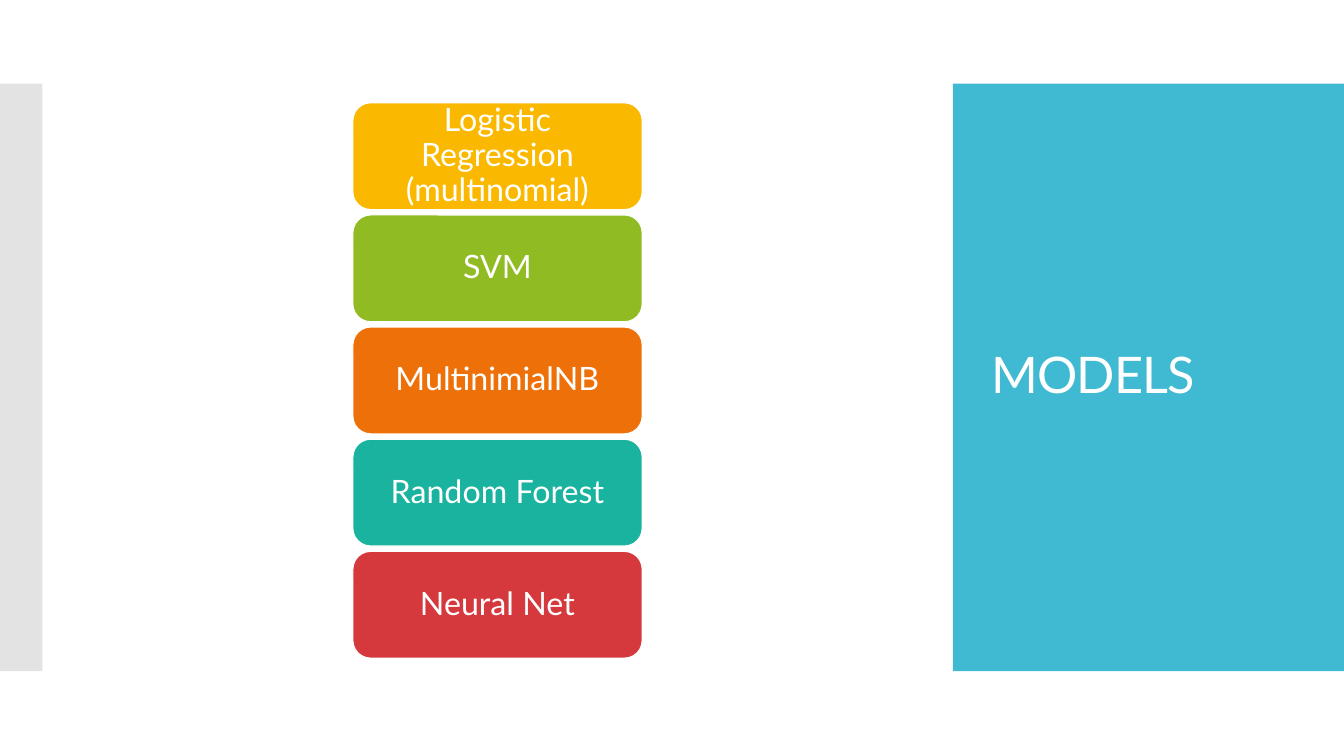
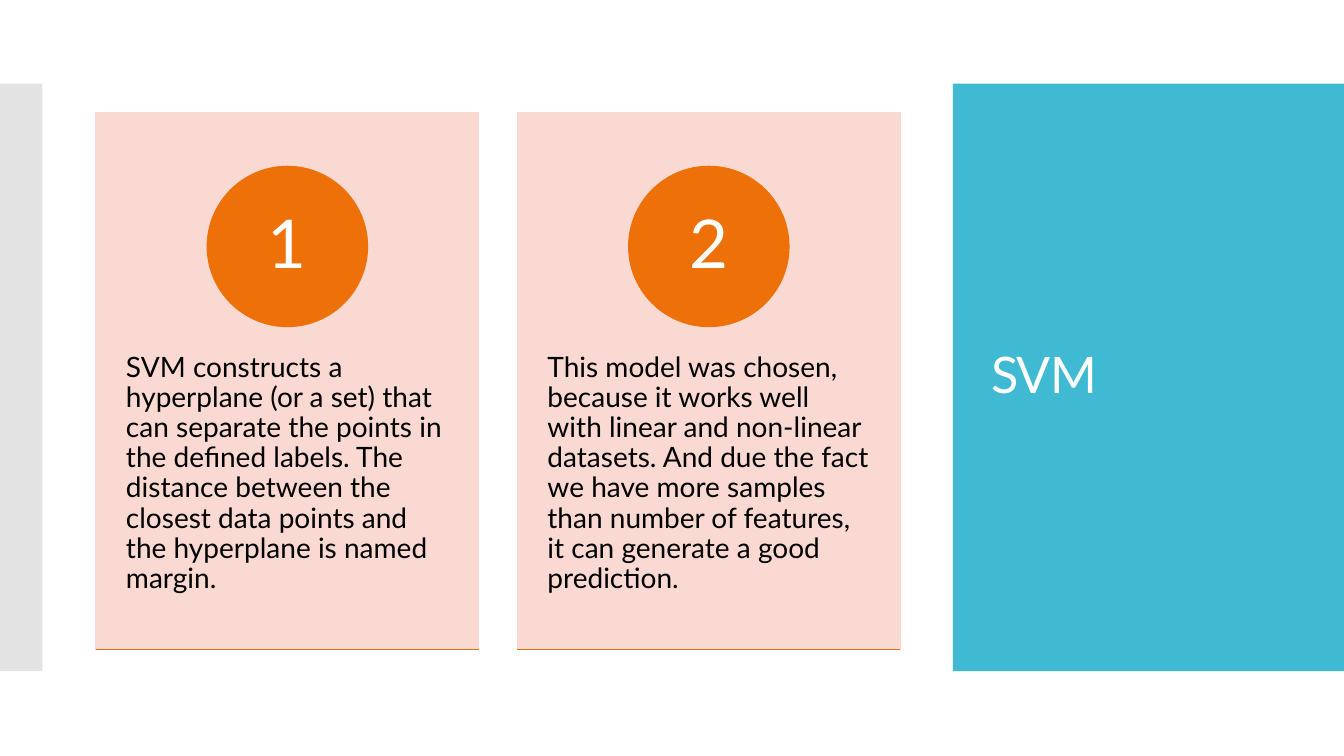
from lxml.etree import SubElement
from pptx import Presentation
from pptx.dml.color import RGBColor
from pptx.enum.shapes import MSO_CONNECTOR, MSO_SHAPE
from pptx.enum.text import MSO_ANCHOR, MSO_AUTO_SIZE, PP_ALIGN
from pptx.oxml.ns import qn
from pptx.util import Inches, Pt

COLORS = {
    "white": "FFFFFF", "black": "000000", "blue": "40BAD2", "gray": "E3E3E3",
    "yellow": "FAB900", "green": "90BB23", "orange": "EE7008",
    "teal": "1AB39F", "red": "D5393D", "pink": "F9D9D1",
}
FONT = "Lato"
BAND_TOP, BAND_HEIGHT = 0.83, 5.83


def add_block(slide, kind, box, fill, line=None):
    shape = slide.shapes.add_shape(kind, *[Inches(length) for length in box])
    shape.shadow.inherit = False
    shape.fill.solid()
    shape.fill.fore_color.rgb = RGBColor.from_string(COLORS[fill])
    if line:
        shape.line.color.rgb = RGBColor.from_string(COLORS[line])
        shape.line.width = Pt(0.85)
    else:
        shape.line.fill.background()
    return shape


def write_text(shape, text, size, color="white", align=PP_ALIGN.CENTER,
               anchor=MSO_ANCHOR.MIDDLE, margins=(0.1, 0.05, 0.1, 0.05)):
    frame = shape.text_frame
    frame.text = text
    left, top, right, bottom = [Inches(margin) for margin in margins]
    frame_format = {
        "word_wrap": True, "auto_size": MSO_AUTO_SIZE.NONE, "vertical_anchor": anchor,
        "margin_left": left, "margin_top": top,
        "margin_right": right, "margin_bottom": bottom,
    }
    for name, value in frame_format.items():
        setattr(frame, name, value)
    paragraph = frame.paragraphs[0]
    paragraph.alignment = align
    paragraph.line_spacing = 0.9
    run = paragraph.runs[0]
    for name, value in {"name": FONT, "size": Pt(size)}.items():
        setattr(run.font, name, value)
    run.font.color.rgb = RGBColor.from_string(COLORS[color])
    return run


presentation = Presentation()
presentation.slide_width = Inches(13.33)
presentation.slide_height = Inches(7.5)

slides = []
for heading in ("MODELS", "SVM"):
    slide = presentation.slides.add_slide(presentation.slide_layouts[5])
    add_block(slide, MSO_SHAPE.RECTANGLE, (9.45, BAND_TOP, 3.88, BAND_HEIGHT), "blue")
    add_block(slide, MSO_SHAPE.RECTANGLE, (0, BAND_TOP, 0.42, BAND_HEIGHT), "gray")
    title = slide.shapes.title
    title_place = {"left": 9.73, "top": 1.23, "width": 3.22, "height": 5.03}
    for name, value in title_place.items():
        setattr(title, name, Inches(value))
    run = write_text(title, heading, 36, align=PP_ALIGN.LEFT)
    run._r.get_or_add_rPr().set("spc", "-60")
    slide.shapes._spTree.append(title._element)
    slides.append(slide)

models_slide, svm_slide = slides

models = [
    ("Logistic Regression (multinomial)", "yellow"),
    ("SVM", "green"),
    ("MultinimialNB", "orange"),
    ("Random Forest", "teal"),
    ("Neural Net", "red"),
]
for index, (model, color) in enumerate(models):
    box = (3.5, 1.02 + index * 1.1125, 2.87, 1.06)
    pill = add_block(models_slide, MSO_SHAPE.ROUNDED_RECTANGLE, box, color, "white")
    write_text(pill, model, 23, margins=(0.15, 0, 0.15, 0))

CARD_TOP, CARD_WIDTH, CARD_HEIGHT, CARD_STEP = 1.12, 3.8, 5.32, 4.18
CIRCLE_SIZE = 1.59
reasons = [
    "SVM constructs a hyperplane (or a set) that can separate the points in the defined "
    "labels. The distance between the closest data points and the hyperplane is named margin.",
    "This model was chosen, because it works well with linear and non-linear datasets. And "
    "due the fact we have more samples than number of features, it can generate a good "
    "prediction.",
]
for index, reason in enumerate(reasons):
    left = 0.95 + index * CARD_STEP
    bottom = CARD_TOP + CARD_HEIGHT
    card = add_block(svm_slide, MSO_SHAPE.RECTANGLE,
                     (left, CARD_TOP, CARD_WIDTH, CARD_HEIGHT), "pink", "pink")
    write_text(card, reason, 20, "black", PP_ALIGN.LEFT, MSO_ANCHOR.TOP,
               (0.3, 2.38, 0.3, 0.36))
    circle_left = left + (CARD_WIDTH - CIRCLE_SIZE) / 2
    circle = add_block(svm_slide, MSO_SHAPE.OVAL,
                       (circle_left, 1.65, CIRCLE_SIZE, CIRCLE_SIZE), "orange", "orange")
    write_text(circle, str(index + 1), 48, margins=(0.12, 0.01, 0.12, 0.01))
    rule = svm_slide.shapes.add_connector(
        MSO_CONNECTOR.STRAIGHT, Inches(left), Inches(bottom),
        Inches(left + CARD_WIDTH), Inches(bottom))
    rule.line.color.rgb = RGBColor.from_string(COLORS["orange"])
    rule.line.width = Pt(0.85)
    SubElement(rule._element.spPr, qn("a:effectLst"))

presentation.save("out.pptx")
